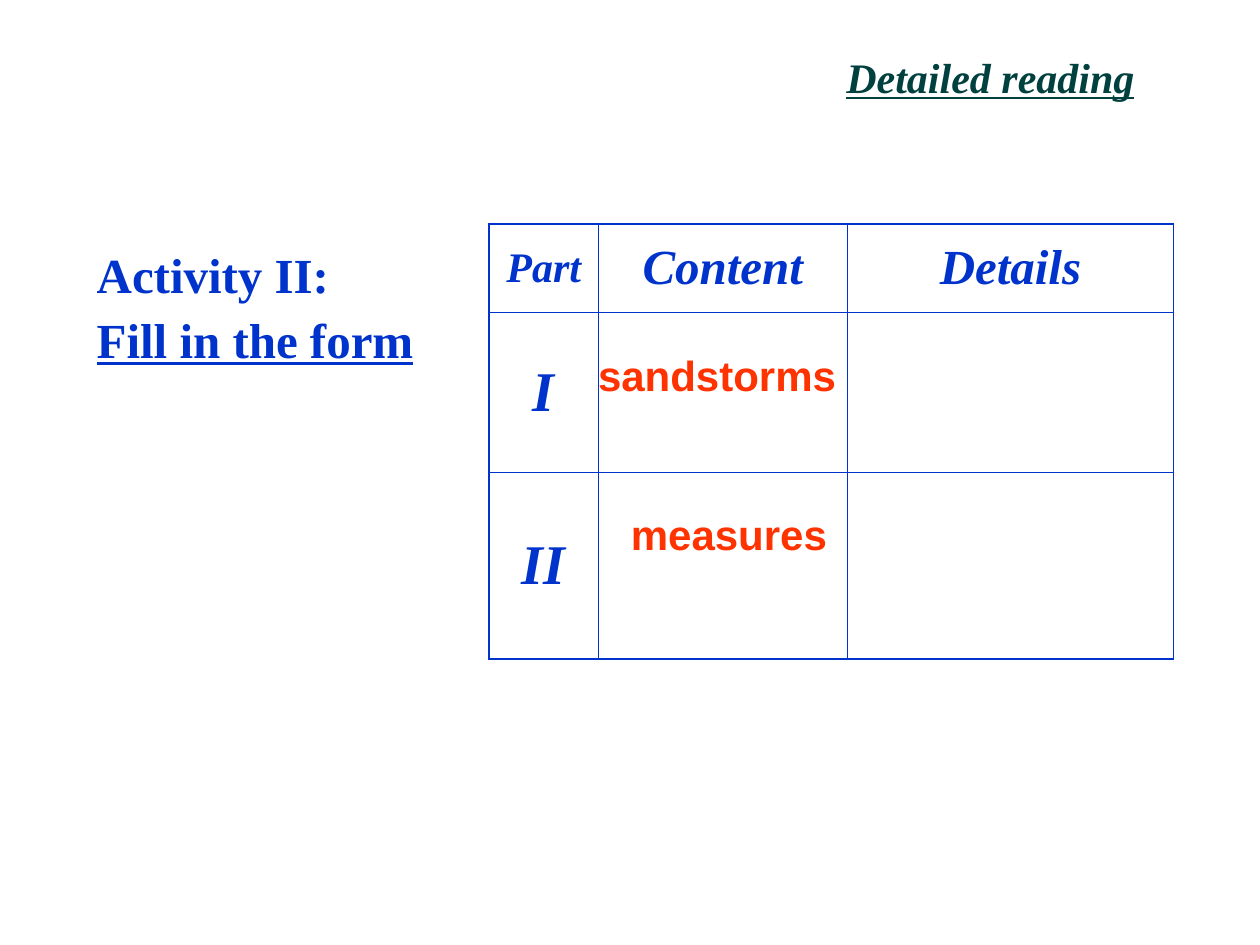
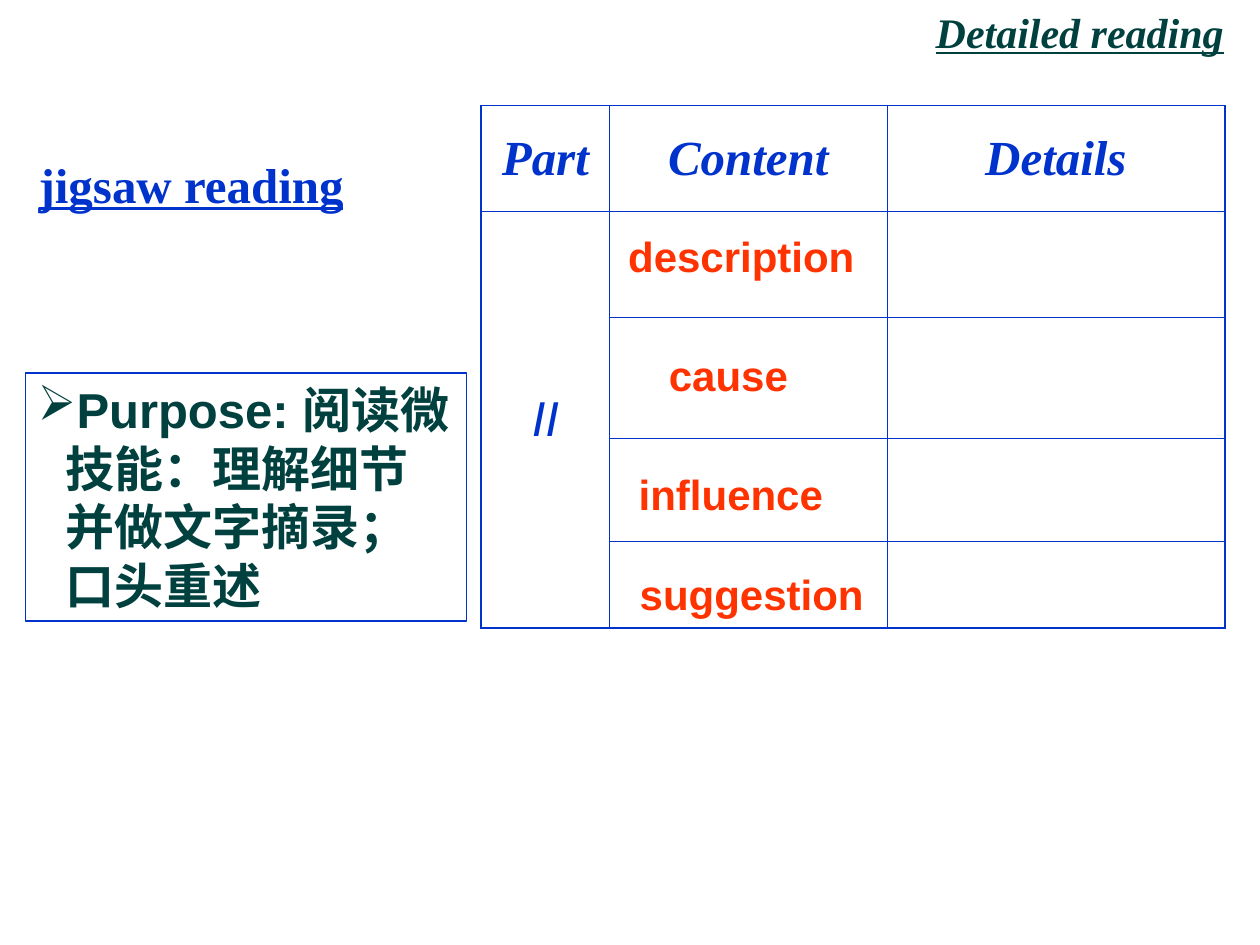
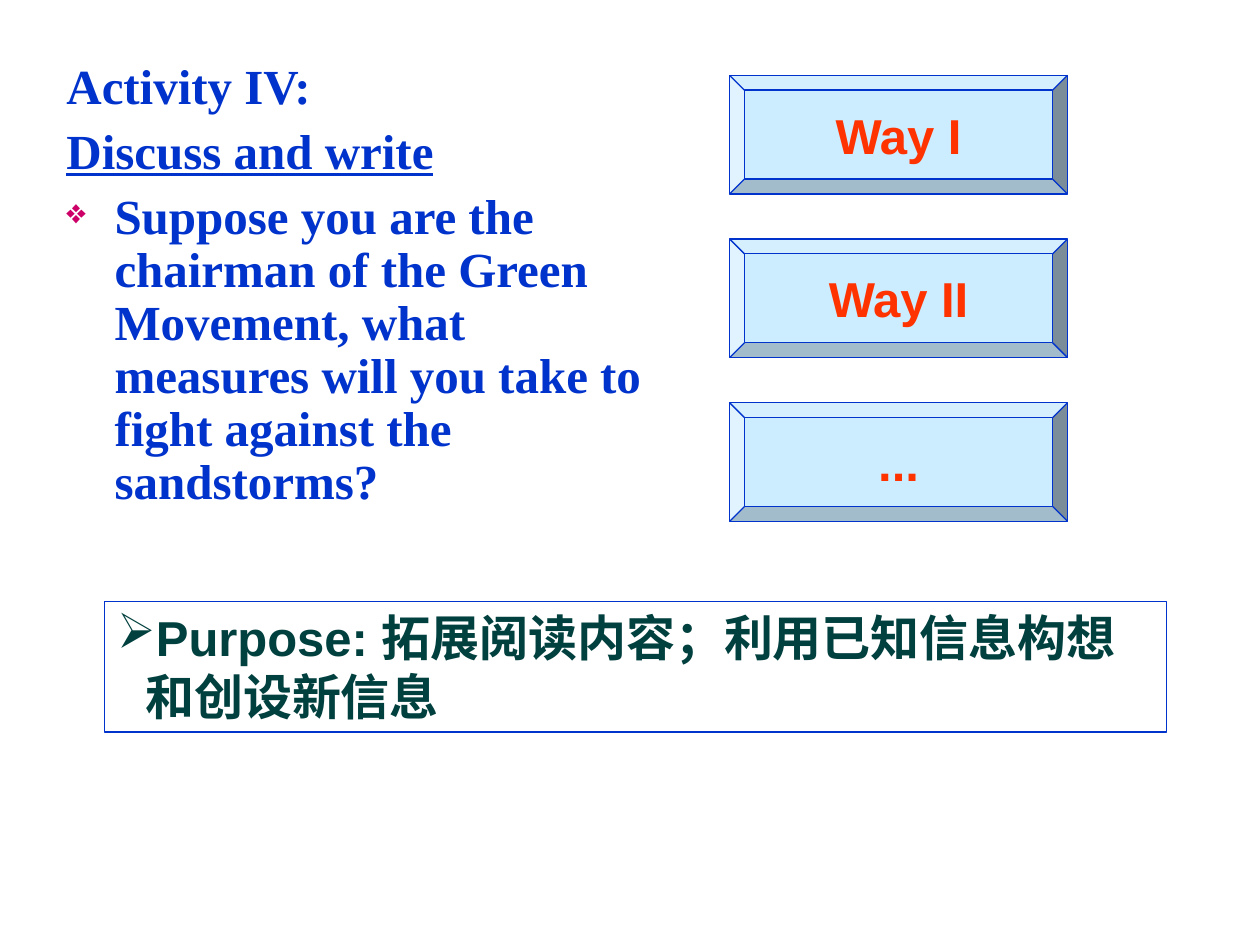
import pptx
import pptx.dml.color
import pptx.enum.shapes
import pptx.enum.text
import pptx.oxml
import pptx.oxml.ns
import pptx.util

Cm = pptx.util.Cm
Pt = pptx.util.Pt
RGB = pptx.dml.color.RGBColor.from_string
ALIGN = pptx.enum.text.PP_ALIGN
MIDDLE = pptx.enum.text.MSO_ANCHOR.MIDDLE
PRESET = pptx.enum.shapes.MSO_SHAPE

COLORS = {"blue": "0033CC", "green": "00403E", "answer": "FF3300",
          "bullet": "CC0066", "button": "CCECFF"}
SERIF = "Times New Roman"
SANS = "Arial"
NAMESPACE = pptx.oxml.ns.nsdecls("a")

# Formats shared by the slides
TITLE = dict(size=24, color="green", italic=True, underline=True, align=ALIGN.RIGHT)
BODY = dict(line_spacing=0.9, hanging=0.97)
HEADER = dict(italic=True, align=ALIGN.CENTER)
ANSWER = dict(font=SANS, size=24, color="answer", align=ALIGN.CENTER)
BUTTON = dict(font=SANS, color="answer", align=ALIGN.CENTER)
PURPOSE = dict(font=SANS, color="green", hanging=0.57, bullet="➢", bullet_color="green")


def write(text_frame, text, font=SERIF, size=28, color="blue", bold=True, italic=False,
          underline=False, align=ALIGN.LEFT, line_spacing=None, space_before=0,
          hanging=0, bullet=None, bullet_color=None, bullet_percent=100):
    """Fill the first paragraph of the frame, or add one when it is already used."""
    paragraph = text_frame.paragraphs[0]
    if paragraph.runs:
        paragraph = text_frame.add_paragraph()
    paragraph.alignment = align
    paragraph.line_spacing = line_spacing
    paragraph.space_before = Pt(space_before)
    properties = paragraph._p.get_or_add_pPr()
    if hanging:
        properties.set("marL", str(Cm(hanging)))
        properties.set("indent", str(-Cm(hanging)))
    if bullet:
        for element in (
            f'<a:buClr {NAMESPACE}><a:srgbClr val="{COLORS[bullet_color]}"/></a:buClr>',
            f'<a:buSzPct {NAMESPACE} val="{bullet_percent * 1000}"/>',
            f'<a:buChar {NAMESPACE} char="{bullet}"/>',
        ):
            properties.append(pptx.oxml.parse_xml(element))
    run = paragraph.add_run()
    run.text = text
    run.font.name = font
    run.font.size = Pt(size)
    run.font.bold = bold
    run.font.italic = italic
    run.font.underline = underline
    run.font.color.rgb = RGB(COLORS[color])


def add_box(slide, left, top, width, height, preset=None, fill=None):
    """Add a text box, or an outlined preset shape, and return its text frame."""
    place = Cm(left), Cm(top), Cm(width), Cm(height)
    if preset is None:
        shape = slide.shapes.add_textbox(*place)
    else:
        shape = slide.shapes.add_shape(preset, *place)
        shape.shadow.inherit = False
        shape.line.color.rgb = RGB(COLORS["blue"])
        shape.line.width = Pt(0.75)
        if fill:
            shape.fill.solid()
            shape.fill.fore_color.rgb = RGB(COLORS[fill])
        else:
            shape.fill.background()
    shape.text_frame.word_wrap = True
    shape.text_frame.vertical_anchor = pptx.enum.text.MSO_ANCHOR.TOP
    return shape.text_frame


presentation = pptx.Presentation()
presentation.slide_width = Cm(25.4)
presentation.slide_height = Cm(19.05)
form_slide, jigsaw_slide, discussion_slide = [
    presentation.slides.add_slide(presentation.slide_layouts[6]) for _ in range(3)]

# Headings
for slide, left, top in ((form_slide, 16.31, 0.91), (jigsaw_slide, 18.11, 0)):
    write(add_box(slide, left, top, 6.81, 1.27), "Detailed reading", **TITLE)

for slide, place, activity, task in (
    (form_slide, (1.7, 4.93, 7.77, 8.28), "Activity II:", "Fill in the form"),
    (jigsaw_slide, (0.53, 3.12, 7.77, 8.28), None, "jigsaw reading"),
    (discussion_slide, (1.09, 1.12, 12.6, 9.8), "Activity IV:", "Discuss and write"),
):
    body = add_box(slide, *place)
    if activity:
        write(body, activity, **BODY)
    write(body, task, underline=True, space_before=7 if activity else 0, **BODY)

# The body of the last slide goes on with the question
write(body, "Suppose you are the chairman of the Green Movement, what measures will you "
      "take to fight against the sandstorms?", space_before=7, bullet="❖",
      bullet_color="bullet", bullet_percent=70, **BODY)

# Purposes
for slide, place, purpose in (
    (jigsaw_slide, (0.51, 7.52, 8.89, 5), "阅读微技能：理解细节并做文字摘录；口头重述"),
    (discussion_slide, (2.11, 12.12, 21.41, 2.64), "拓展阅读内容；利用已知信息构想和创设新信息"),
):
    write(add_box(slide, *place, preset=PRESET.RECTANGLE), f"Purpose: {purpose}", **PURPOSE)

# Reading tables
THIN, THICK = 0.45, 1.08
for slide, left, top, widths, heights, part_size, parts, top_line in (
    (form_slide, 9.86, 4.52, (2.2, 5.02, 6.58), (1.78, 3.23, 3.76), 24,
     {1: ("I", dict(size=32)), 2: ("II", dict(size=32))}, THICK),
    (jigsaw_slide, 9.7, 2.13, (2.59, 5.59, 6.81), (2.13, 2.13, 2.44, 2.08, 1.75), 28,
     {1: ("II", dict(font=SANS, bold=False))}, THIN),
):
    row_count, column_count = len(heights), len(widths)
    table = slide.shapes.add_table(row_count, column_count, Cm(left), Cm(top),
                                   Cm(sum(widths)), Cm(sum(heights))).table
    table.first_row = table.horz_banding = False
    for column, width in zip(table.columns, widths):
        column.width = Cm(width)
    for row, height in zip(table.rows, heights):
        row.height = Cm(height)
    if len(parts) == 1:
        table.cell(1, 0).merge(table.cell(row_count - 1, 0))

    for row in range(row_count):
        for column in range(column_count):
            cell = table.cell(row, column)
            cell.vertical_anchor = MIDDLE
            cell_properties = cell._tc.get_or_add_tcPr()
            for side, line in (
                ("L", THICK if column == 0 else THIN),
                ("R", THICK if column == column_count - 1 else THIN),
                ("T", top_line if row == 0 else THIN),
                ("B", THICK if row + cell.span_height == row_count else THIN),
            ):
                cell_properties.append(pptx.oxml.parse_xml(
                    f'<a:ln{side} {NAMESPACE} w="{Pt(line)}"><a:solidFill>'
                    f'<a:srgbClr val="{COLORS["blue"]}"/></a:solidFill></a:ln{side}>'))
            cell.fill.background()

    for column, (header, size) in enumerate(
            (("Part", part_size), ("Content", 28), ("Details", 28))):
        write(table.cell(0, column).text_frame, header, size=size, **HEADER)
    for row, (part, part_format) in parts.items():
        write(table.cell(row, 0).text_frame, part, **HEADER, **part_format)

# Answers over the tables
for slide, answer, left, top, width in (
    (form_slide, "sandstorms", 11.46, 6.93, 5.99),
    (form_slide, "measures", 12.04, 10.13, 5.31),
    (jigsaw_slide, "description", 12.29, 4.52, 5.31),
    (jigsaw_slide, "cause", 13.11, 6.93, 3.15),
    (jigsaw_slide, "influence", 12.5, 9.32, 4.47),
    (jigsaw_slide, "suggestion", 12.5, 11.33, 5.31),
):
    write(add_box(slide, left, top, width, 1.27), answer, **ANSWER)

# Ways to fight sandstorms
for index, way in enumerate(("Way I", "Way II", "...")):
    button = add_box(discussion_slide, 14.71, 1.52 + 3.3 * index, 6.81, 2.39,
                     preset=PRESET.BEVEL, fill="button")
    button.vertical_anchor = MIDDLE
    button.word_wrap = False
    write(button, way, **BUTTON)

presentation.save("out.pptx")
